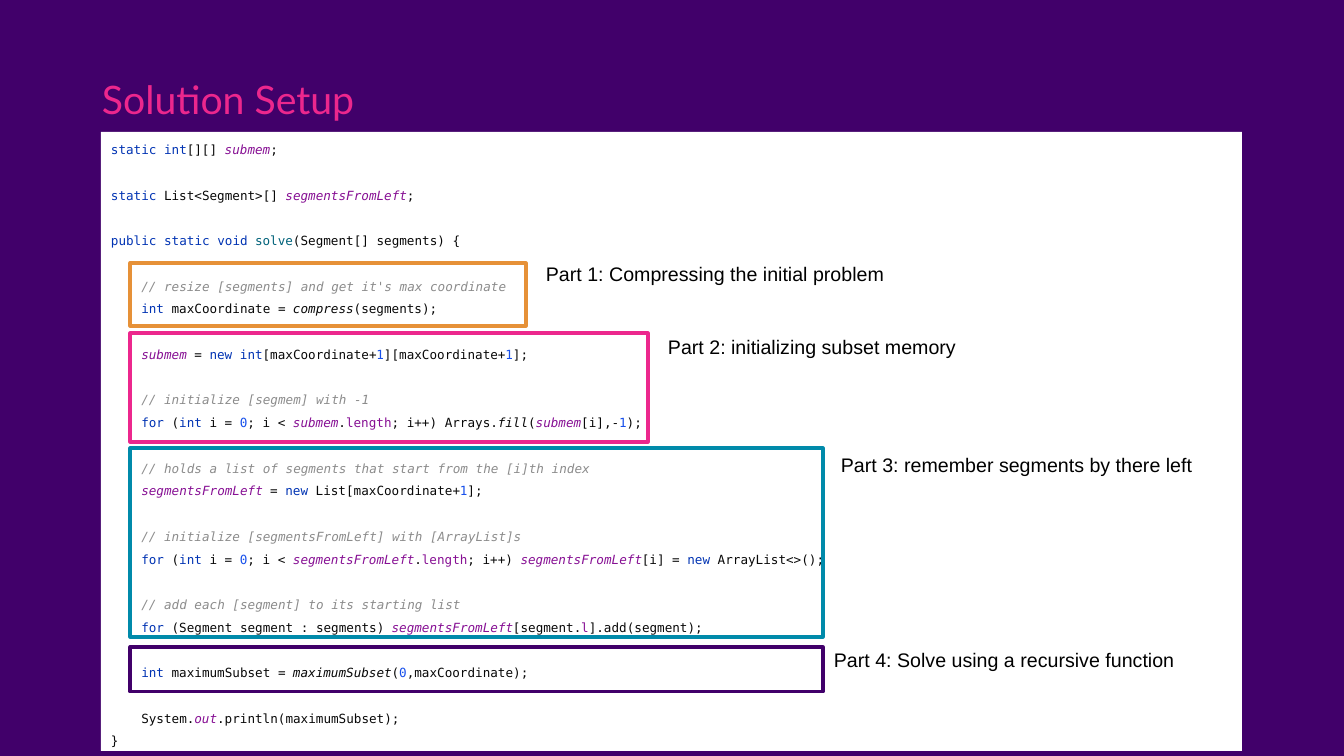
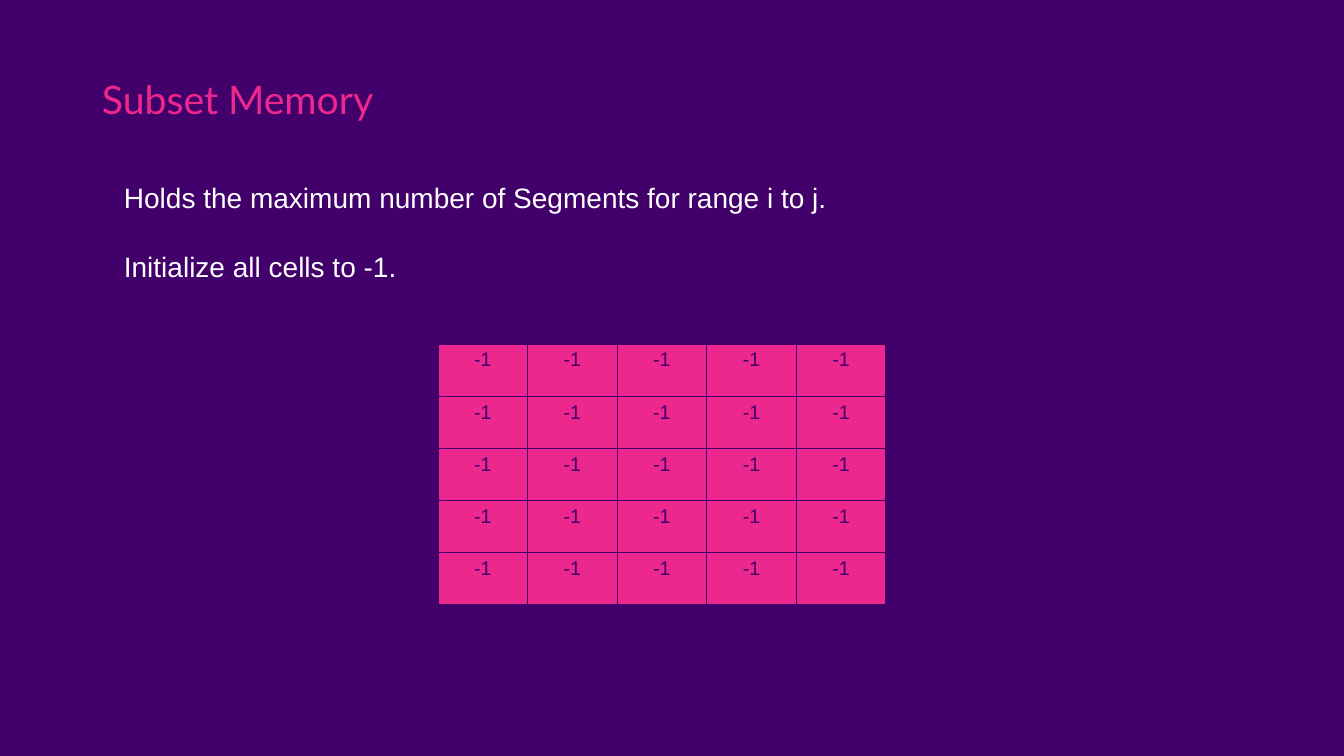
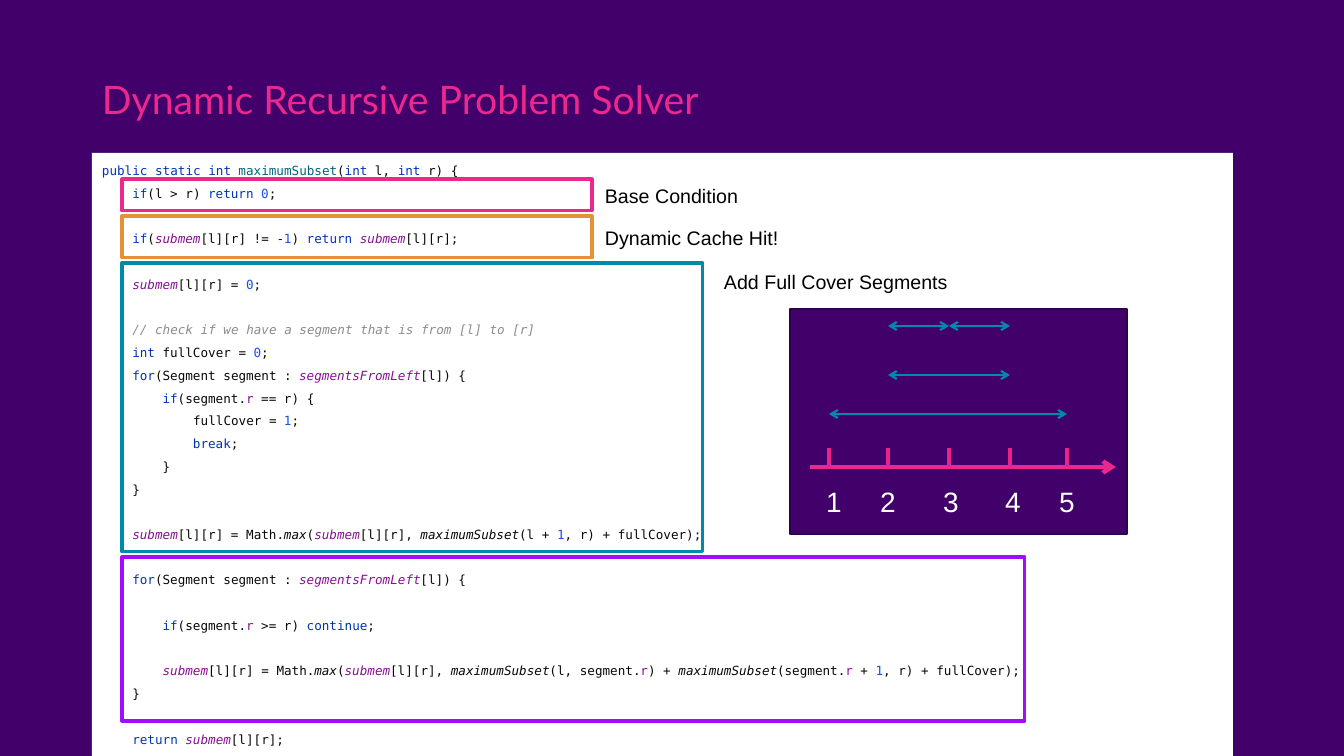
from lxml import etree
from pptx import Presentation
from pptx.dml.color import RGBColor
from pptx.enum.shapes import MSO_CONNECTOR, MSO_SHAPE
from pptx.enum.text import MSO_ANCHOR, MSO_AUTO_SIZE, PP_ALIGN
from pptx.oxml.ns import qn
from pptx.util import Pt

RECT = MSO_SHAPE.RECTANGLE
LINE = MSO_CONNECTOR.STRAIGHT
LEFT, MID = PP_ALIGN.LEFT, PP_ALIGN.CENTER
TOP, CENTRE = MSO_ANCHOR.TOP, MSO_ANCHOR.MIDDLE
NO_FIT = MSO_AUTO_SIZE.NONE

SCALE = 914400 / 100.8
COLOR = {key: RGBColor.from_string(value) for key, value in {
    "back": "41006A", "pink": "EC278D", "tick": "EC218A", "teal": "008AAA",
    "gold": "E69138", "violet": "A10DFF", "edge": "30004E",
    "white": "FFFFFF", "black": "000000", "code": "080808",
    "key": "0033B3", "name": "00627A", "field": "871094",
    "num": "1750EB", "note": "8C8C8C",
}.items()}

# Marks in the code: `k...` gives that stretch the style (colour, italic).
SYNTAX = {
    "k": ("key", False), "d": ("name", False), "n": ("num", False),
    "f": ("field", True), "p": ("field", False),
    "c": ("note", True), "m": ("code", True),
}

# Code blocks, set apart by one empty line
SETUP = [
    "`kstatic int`[][] `fsubmem`;",
    "`kstatic` List<Segment>[] `fsegmentsFromLeft`;",
    "`kpublic static void` `dsolve`(Segment[] segments) {",
    """\
    `c// resize [segments] and get it's max coordinate`
    `kint` maxCoordinate = `mcompress`(segments);""",
    "    `fsubmem` = `knew int`[maxCoordinate+`n1`][maxCoordinate+`n1`];",
    """\
    `c// initialize [segmem] with -1`
    `kfor` (`kint` i = `n0`; i < `fsubmem`.`plength`; i++) Arrays.`mfill`(`fsubmem`[i],-`n1`);""",
    """\
    `c// holds a list of segments that start from the [i]th index`
    `fsegmentsFromLeft` = `knew` List[maxCoordinate+`n1`];""",
    """\
    `c// initialize [segmentsFromLeft] with [ArrayList]s`
    `kfor` (`kint` i = `n0`; i < `fsegmentsFromLeft`.`plength`; i++) `fsegmentsFromLeft`[i] = `knew` ArrayList<>();""",
    """\
    `c// add each [segment] to its starting list`
    `kfor` (Segment segment : segments) `fsegmentsFromLeft`[segment.`pl`].add(segment);""",
    "    `kint` maximumSubset = `mmaximumSubset`(`n0`,maxCoordinate);",
    """\
    System.`fout`.println(maximumSubset);
}""",
]

SOLVER = [
    """\
`kpublic static int` `dmaximumSubset`(`kint` l, `kint` r) {
    `kif`(l > r) `kreturn` `n0`;""",
    "    `kif`(`fsubmem`[l][r] != -`n1`) `kreturn` `fsubmem`[l][r];",
    "    `fsubmem`[l][r] = `n0`;",
    """\
    `c// check if we have a segment that is from [l] to [r]`
    `kint` fullCover = `n0`;
    `kfor`(Segment segment : `fsegmentsFromLeft`[l]) {
        `kif`(segment.`pr` == r) {
            fullCover = `n1`;
            `kbreak`;
        }
    }""",
    "    `fsubmem`[l][r] = Math.`mmax`(`fsubmem`[l][r], `mmaximumSubset`(l + `n1`, r) + fullCover);",
    "    `kfor`(Segment segment : `fsegmentsFromLeft`[l]) {",
    "        `kif`(segment.`pr` >= r) `kcontinue`;",
    """\
        `fsubmem`[l][r] = Math.`mmax`(`fsubmem`[l][r], `mmaximumSubset`(l, segment.`pr`) + `mmaximumSubset`(segment.`pr` + `n1`, r) + fullCover);
    }""",
    """\
    `kreturn` `fsubmem`[l][r];
}""",
]


def px(*sizes):
    return [round(size * SCALE) for size in sizes]


def write(frame, text, size, color, font="Arial", align=LEFT):
    """Fill a text frame and format every run alike."""
    frame.text = text
    frame.word_wrap = True
    for para in frame.paragraphs:
        para.alignment = align
        for run in para.runs:
            run.font.size = Pt(size)
            run.font.name = font
            run.font.color.rgb = COLOR[color]


deck = Presentation()
deck.slide_width, deck.slide_height = px(1344, 756)
fill = deck.slide_master.background.fill
fill.solid()
fill.fore_color.rgb = COLOR["back"]

# Titles
slides = []
for text in ("Solution Setup", "Subset Memory", "Dynamic Recursive Problem Solver"):
    slide = deck.slides.add_slide(deck.slide_layouts[5])
    title = slide.shapes.title
    title.left, title.top, title.width, title.height = px(92, 65, 1141, 85)
    frame = title.text_frame
    write(frame, text, 28, "pink", "Lato")
    frame.auto_size = NO_FIT
    frame.vertical_anchor = TOP
    frame.margin_left, frame.margin_top = px(10, 10)
    slides.append(slide)
setup, memory, solver = slides

# Code panels: slide, corner, code, frames, labels
panels = [
    (setup, 101, 132, SETUP,
     [(130, 263, 396, 63, "gold"), (130, 333, 518, 109, "pink"),
      (130, 448, 693, 189, "teal"), (130, 647, 693, 45, "back")],
     [(536, 257, "Part 1: Compressing the initial problem"),
      (658, 330, "Part 2: initializing subset memory"),
      (831, 448, "Part 3: remember segments by there left"),
      (824, 643, "Part 4: Solve using a recursive function")]),
    (solver, 92, 153, SOLVER,
     [(122, 179, 470, 32, "pink"), (122, 216, 470, 42, "gold"),
      (122, 263, 581, 289, "teal"), (122, 557, 903, 164, "violet")],
     [(595, 179, "Base Condition"), (595, 221, "Dynamic Cache Hit!"),
      (714, 265, "Add Full Cover Segments")]),
]
for slide, left, top, blocks, boxes, labels in panels:
    panel = slide.shapes.add_shape(RECT, *px(left, top, 1141, 619))
    panel.shadow.inherit = False
    panel.fill.solid()
    panel.fill.fore_color.rgb = COLOR["white"]
    panel.line.fill.background()
    frame = panel.text_frame
    frame.word_wrap = True
    frame.vertical_anchor = CENTRE
    rows = [(line, place == 0) for block in blocks
            for place, line in enumerate(block.split("\n"))]
    for row, (line, first) in enumerate(rows):
        para = frame.add_paragraph() if row else frame.paragraphs[0]
        para.alignment = LEFT
        para.line_spacing = 1.5
        if row and first:
            para.space_before = Pt(16.25)
        for turn, part in enumerate(line.split("`")):
            if not part:
                continue
            color, slant = "code", False
            if turn % 2:
                color, slant = SYNTAX[part[0]]
                part = part[1:]
            run = para.add_run()
            run.text = part
            run.font.size = Pt(9)
            run.font.name = "DejaVu Sans Mono"
            run.font.italic = slant
            run.font.color.rgb = COLOR[color]
    for *place, color in boxes:
        box = slide.shapes.add_shape(RECT, *px(*place))
        box.shadow.inherit = False
        box.fill.background()
        box.line.color.rgb = COLOR[color]
        box.line.width = Pt(2.25)
    for left, top, text in labels:
        label = slide.shapes.add_textbox(*px(left, top, 380, 34))
        write(label.text_frame, text, 14, "black")

# Subset memory: text and grid
body = memory.shapes.add_textbox(*px(114, 176, 1118, 119))
write(body.text_frame, "Holds the maximum number of Segments for range i to j.\n"
      "Initialize all cells to -1.", 20, "white")
body.text_frame.paragraphs[1].space_before = Pt(25)

grid = memory.shapes.add_table(5, 5, *px(438, 344, 448, 261)).table
grid.first_row = grid.horz_banding = False
for cell in grid.iter_cells():
    write(cell.text_frame, "-1", 14, "back", align=MID)
    props = cell._tc.get_or_add_tcPr()
    for side in ("a:lnL", "a:lnR", "a:lnT", "a:lnB"):
        edge = etree.SubElement(props, qn(side), w=str(Pt(1)))
        ink = etree.SubElement(edge, qn("a:solidFill"))
        etree.SubElement(ink, qn("a:srgbClr"), val=str(COLOR["back"]))
    cell.fill.solid()
    cell.fill.fore_color.rgb = COLOR["pink"]

# Number line with segments
board = solver.shapes.add_shape(RECT, *px(790, 309, 337, 225))
board.shadow.inherit = False
board.fill.solid()
board.fill.fore_color.rgb = COLOR["back"]
board.line.color.rgb = COLOR["edge"]
board.line.width = Pt(2)

ticks = [829, 888, 949, 1010, 1067]
digits = [834, 888, 951, 1013, 1067]
for value, mid in enumerate(digits, 1):
    digit = solver.shapes.add_textbox(*px(mid - 20, 480, 40, 44))
    write(digit.text_frame, str(value), 20, "white", align=MID)

# Lines: start, end, colour, width, arrowheads
lines = [(810, 467, 1116, 467, "pink", 3, ["a:tailEnd"])]
lines += [(x, 467, x, 448, "tick", 3, []) for x in ticks]
lines += [(ticks[a - 1], y, ticks[b - 1], y, "teal", 1.5, ["a:headEnd", "a:tailEnd"])
          for a, b, y in ((1, 5, 414), (2, 4, 375), (2, 3, 326), (3, 4, 326))]
for *ends, color, width, heads in lines:
    line = solver.shapes.add_connector(LINE, *px(*ends))
    line.line.color.rgb = COLOR[color]
    line.line.width = Pt(width)
    for head in heads:
        etree.SubElement(line.line._get_or_add_ln(), qn(head), type="arrow")
    etree.SubElement(line._element.spPr, qn("a:effectLst"))

deck.save("out.pptx")
